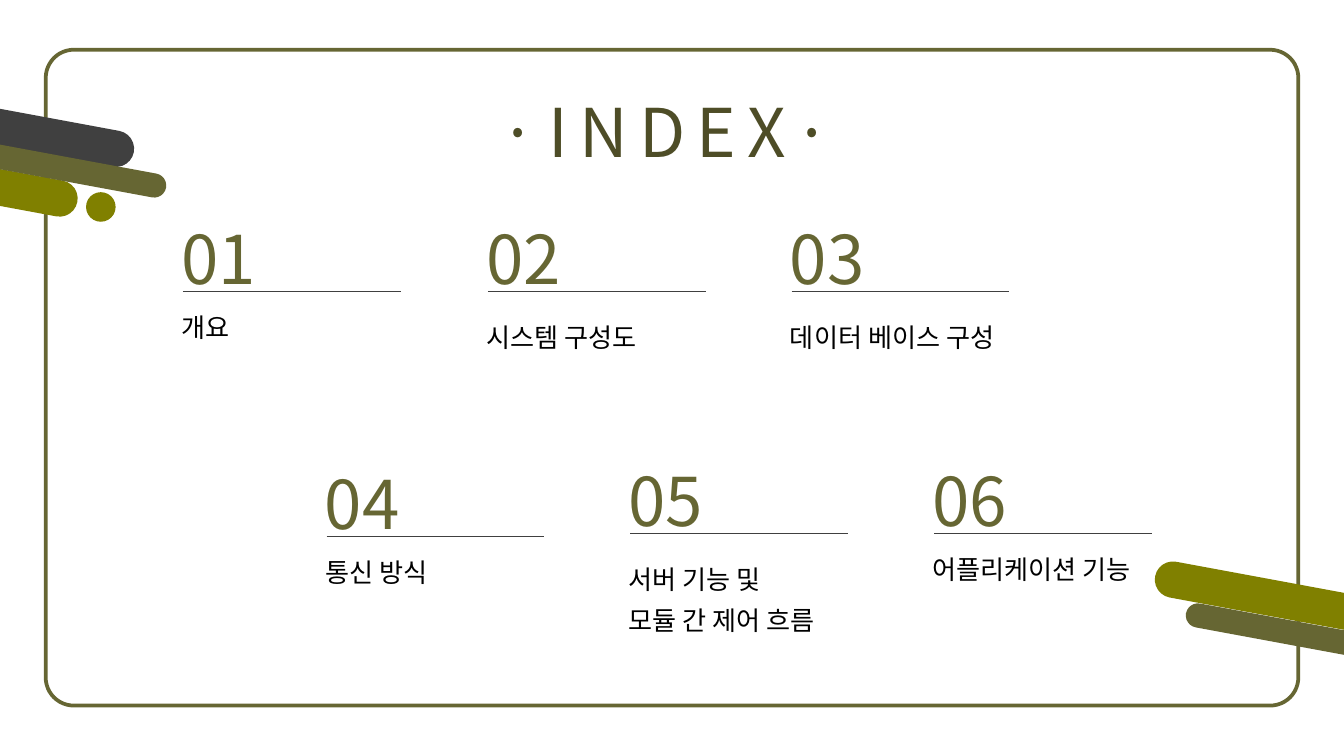
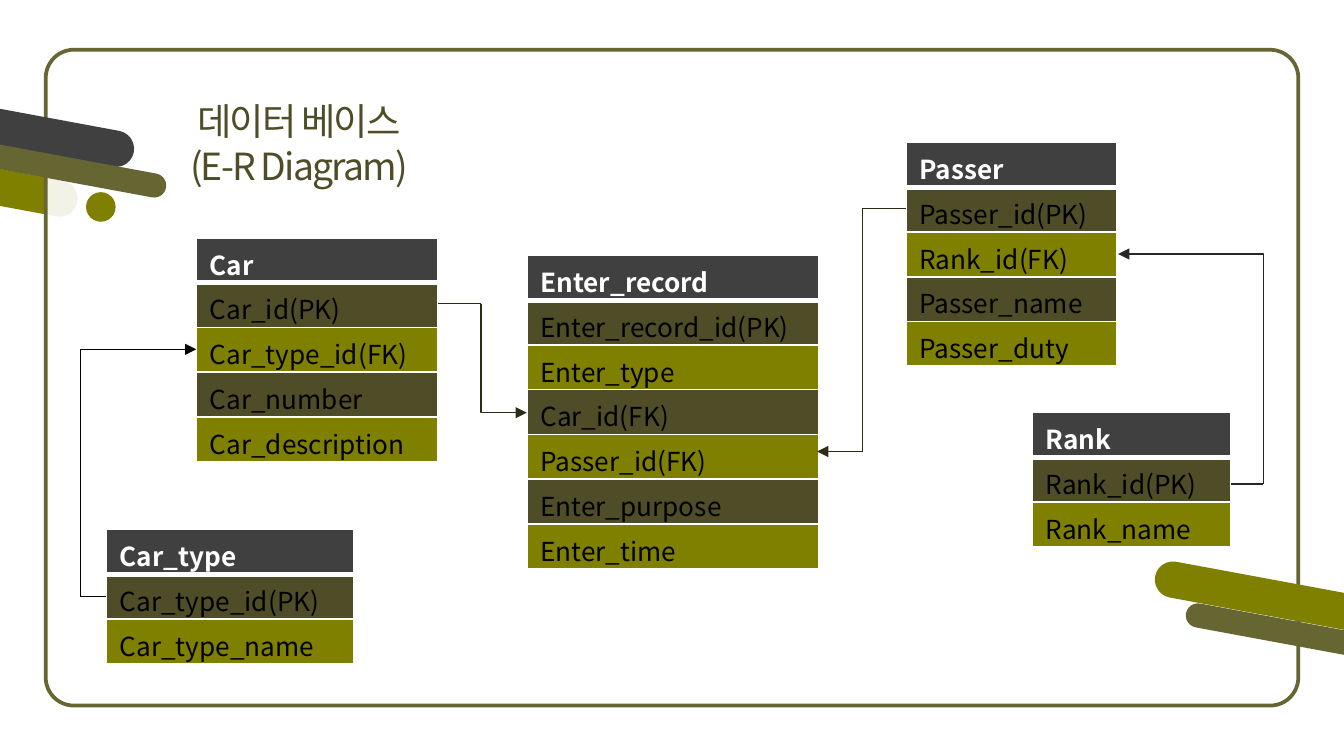
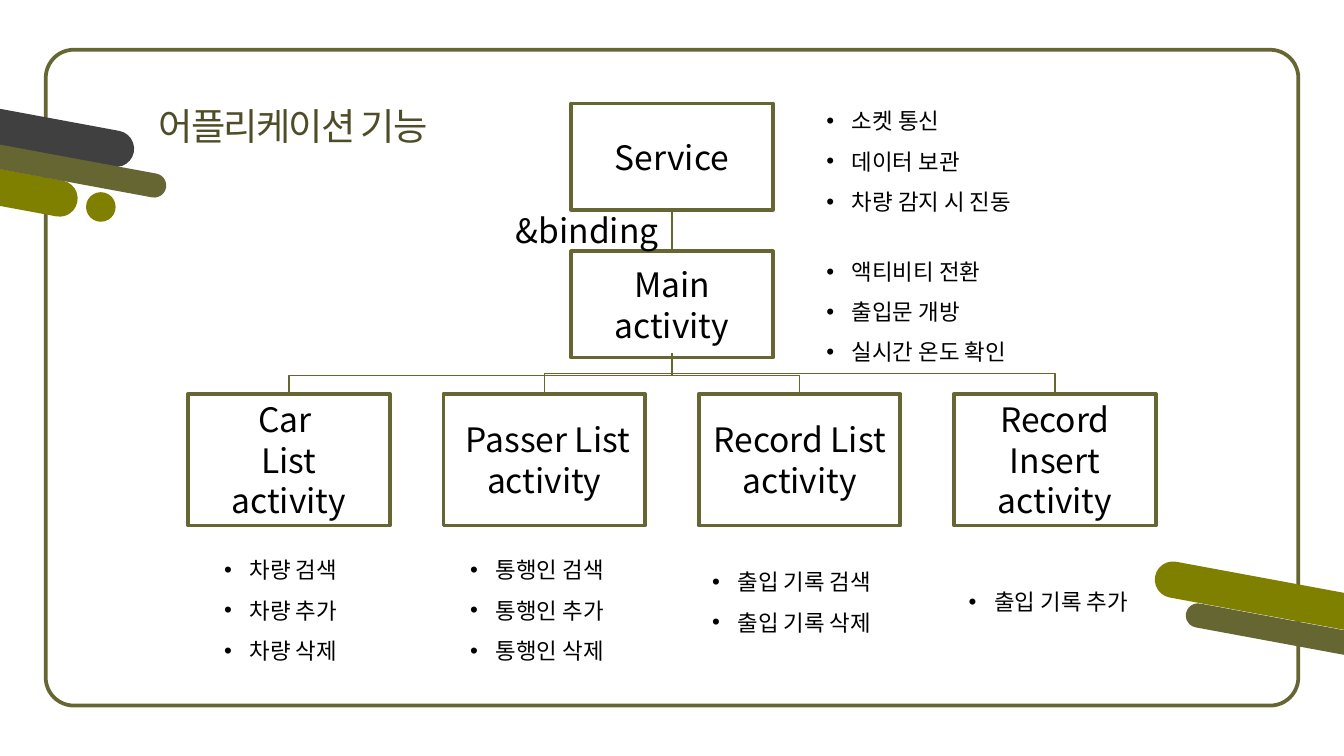
from lxml.etree import SubElement
from pptx import Presentation
from pptx.dml.color import RGBColor
from pptx.enum.shapes import MSO_CONNECTOR, MSO_SHAPE
from pptx.enum.text import MSO_ANCHOR, MSO_AUTO_SIZE, PP_ALIGN
from pptx.oxml.ns import qn
from pptx.util import Inches, Pt

FONT = "Noto Sans CJK KR"
OLIVE, MOSS, DARK_MOSS = "808000", "666633", "4E4D27"
CHARCOAL, WHITE, BLACK = "404040", "FFFFFF", "000000"
rgb = RGBColor.from_string


def write(tf, text, size, color, align=None, bold=False, spc=None, wrap=True):
    tf.word_wrap = wrap
    tf.text = text
    for p in tf.paragraphs:
        p.alignment = align
        for r in p.runs:
            r.font.size = Pt(size)
            r.font.bold = bold
            r.font.color.rgb = rgb(color)
            r.font.name = FONT
            rPr = r.font._element
            SubElement(rPr, qn("a:ea"), typeface=FONT)
            if spc:
                rPr.set("spc", str(spc * 100))


def connect(s, x1, y1, x2, y2, color, bend=None, arrow=False):
    kind = MSO_CONNECTOR.STRAIGHT
    if bend:
        kind = MSO_CONNECTOR.ELBOW
        cx, cy, dx, dy = (x1 + x2) / 2, (y1 + y2) / 2, x2 - x1, y2 - y1
        x1, y1, x2, y2 = cx - dy / 2, cy + dx / 2, cx + dy / 2, cy - dx / 2
    c = s.shapes.add_connector(kind, Inches(x1), Inches(y1), Inches(x2), Inches(y2))
    c.line.color.rgb = rgb(color)
    c.line.width = Pt(0.75)
    spPr = c._element.spPr
    if bend:
        spPr.find(qn("a:xfrm")).set("rot", "5400000")
        spPr.find(qn("a:prstGeom")).set("prst", bend)
    if arrow:
        SubElement(spPr.find(qn("a:ln")), qn("a:tailEnd"), type="triangle")
    SubElement(spPr, qn("a:effectLst"))


prs = Presentation()
prs.slide_width = Inches(10)
prs.slide_height = prs.slide_width * 9 // 16

frame = (MSO_SHAPE.ROUNDED_RECTANGLE, 0.34, 0.37, 9.32, 4.88, WHITE)
low_bar = (MSO_SHAPE.ROUNDED_RECTANGLE, -1.13, 1.21, 1.72, 0.27, OLIVE)
decor = [
    (MSO_SHAPE.ROUNDED_RECTANGLE, 8.58, 4.31, 1.72, 0.27, OLIVE),
    (MSO_SHAPE.ROUNDED_RECTANGLE, 8.81, 4.63, 1.72, 0.18, MOSS),
    (MSO_SHAPE.ROUNDED_RECTANGLE, -0.71, 0.84, 1.72, 0.27, CHARCOAL),
    (MSO_SHAPE.ROUNDED_RECTANGLE, -0.47, 1.15, 1.72, 0.18, MOSS),
    (MSO_SHAPE.OVAL, 0.64, 1.43, 0.22, 0.22, OLIVE),
]
titles = [
    ("·INDEX·", 3.62, 0.62, 2.76, 0.71, 36, 6, None),
    ("데이터 베이스\n(E-R Diagram)", 1.19, 0.68, 2.07, 0.77, 20, -1, PP_ALIGN.CENTER),
    ("어플리케이션 기능", 1.02, 0.72, 2.32, 0.44, 20, -1, PP_ALIGN.CENTER),
]
backdrops = [[frame, low_bar], [low_bar, frame], [frame, low_bar]]
for backdrop, (text, x, y, w, h, size, spc, align) in zip(backdrops, titles):
    s = prs.slides.add_slide(prs.slide_layouts[6])
    for part in backdrop + decor:
        kind, left, top, width, height, color = part
        sp = s.shapes.add_shape(kind, Inches(left), Inches(top), Inches(width), Inches(height))
        sp.shadow.inherit = False
        sp.fill.solid()
        sp.fill.fore_color.rgb = rgb(color)
        if part is frame:
            sp.adjustments[0] = 0.043
            sp.line.color.rgb = rgb(MOSS)
            sp.line.width = Pt(2)
            clr = sp._element.spPr.find(qn("a:solidFill"))[0]
            SubElement(clr, qn("a:alpha"), val="90000")
        else:
            sp.line.fill.background()
            if kind == MSO_SHAPE.ROUNDED_RECTANGLE:
                sp.adjustments[0] = 0.5
                sp.rotation = 10.5
    tb = s.shapes.add_textbox(Inches(x), Inches(y), Inches(w), Inches(h))
    write(tb.text_frame, text, size, DARK_MOSS, align, spc=spc, wrap=False)
    tb.text_frame.auto_size = MSO_AUTO_SIZE.SHAPE_TO_FIT_TEXT

index_slide, er_slide, app_slide = prs.slides

topics = [
    ("개요", 1.25, 1.57, 0.59, 0.34, None),
    ("시스템 구성도", 3.52, 1.57, 1.4, 0.41, 22),
    ("데이터 베이스 구성", 5.78, 1.57, 1.84, 0.41, 22),
    ("통신 방식", 2.32, 3.39, 1.02, 0.34, None),
    ("서버 기능 및\n모듈 간 제어 흐름", 4.58, 3.37, 1.72, 0.72, 22),
    ("어플리케이션 기능", 6.84, 3.37, 1.78, 0.34, None),
]
for i, (topic, x, y, w, h, spacing) in enumerate(topics, 1):
    for text, top, width, height, size, color in [
        (topic, y + 0.7, w, h, 14, BLACK),
        (f"{i:02}", y, 0.83, 0.71, 36, MOSS),
    ]:
        tb = index_slide.shapes.add_textbox(Inches(x), Inches(top), Inches(width), Inches(height))
        tf = tb.text_frame
        write(tf, text, size, color, wrap=False)
        tf.auto_size = MSO_AUTO_SIZE.SHAPE_TO_FIT_TEXT
        if spacing and text == topic:
            for p in tf.paragraphs:
                p.line_spacing = Pt(spacing)
    connect(index_slide, x + 0.11, y + 0.6, x + 1.73, y + 0.6, CHARCOAL)

entities = [
    (0.79, 3.94, 1.84, ["Car_type", "Car_type_id(PK)", "Car_type_name"]),
    (1.46, 1.77, 1.8, ["Car", "Car_id(PK)", "Car_type_id(FK)", "Car_number", "Car_description"]),
    (7.68, 3.07, 1.48, ["Rank", "Rank_id(PK)", "Rank_name"]),
    (6.74, 1.06, 1.57, ["Passer", "Passer_id(PK)", "Rank_id(FK)", "Passer_name", "Passer_duty"]),
    (3.92, 1.9, 2.17, ["Enter_record", "Enter_record_id(PK)", "Enter_type", "Car_id(FK)",
                       "Passer_id(FK)", "Enter_purpose", "Enter_time"]),
]
for x, y, w, fields in entities:
    n = len(fields)
    table = er_slide.shapes.add_table(n, 1, Inches(x), Inches(y), Inches(w), Inches(n / 3)).table
    for i, field in enumerate(fields):
        cell = table.cell(i, 0)
        cell.margin_top, cell.margin_bottom = Inches(0.05), 0
        write(cell.text_frame, field, 14, BLACK if i else WHITE, bold=i == 0)
        tcPr = cell._tc.get_or_add_tcPr()
        for side in "LRTB":
            thick = (i, side) in [(0, "B"), (1, "T")]
            ln = SubElement(tcPr, qn(f"a:ln{side}"), w=str(Pt(3 if thick else 1)))
            SubElement(SubElement(ln, qn("a:solidFill")), qn("a:srgbClr"), val=WHITE)
        cell.fill.solid()
        cell.fill.fore_color.rgb = rgb([OLIVE, DARK_MOSS][i % 2] if i else CHARCOAL)

for x1, y1, x2, y2, color, bend, arrow in [
    (0.79, 4.44, 0.6, 4.44, BLACK, None, False),
    (0.6, 4.44, 1.46, 2.6, BLACK, "bentConnector2", True),
    (3.26, 2.26, 3.58, 2.26, "2C2B16", None, False),
    (3.58, 2.26, 3.92, 3.07, "2C2B16", "bentConnector2", True),
    (6.74, 1.55, 6.42, 1.55, "2C2B16", None, False),
    (6.42, 1.55, 6.42, 3.36, "2C2B16", None, False),
    (6.42, 3.36, 6.08, 3.36, "2C2B16", None, True),
    (9.16, 3.6, 9.4, 3.6, "262626", None, False),
    (9.4, 3.6, 8.32, 1.89, "262626", "bentConnector2", True),
]:
    connect(er_slide, x1, y1, x2, y2, color, bend, arrow)

activities = ["Car \nList\nactivity", " Passer List activity", "Record List activity", "Record Insert activity"]
boxes = [("Service", 4.25, 0.77, 0.79), ("Main activity", 4.25, 1.87, 0.79)]
for i, activity in enumerate(activities):
    x = 1.4 + 1.9 * i
    boxes.append((activity, x, 2.93, 0.98))
    connect(app_slide, 5, 2.63 if i % 2 else 2.66, x + 0.75, 2.93, MOSS, "bentConnector3")
connect(app_slide, 5, 1.55, 5, 1.87, MOSS)

for text, x, y, h in boxes:
    sp = app_slide.shapes.add_shape(MSO_SHAPE.RECTANGLE, Inches(x), Inches(y), Inches(1.5), Inches(h))
    sp.shadow.inherit = False
    sp.fill.background()
    sp.line.color.rgb = rgb(MOSS)
    sp.line.width = Pt(2)
    write(sp.text_frame, text, 18, BLACK, PP_ALIGN.CENTER)
    sp.text_frame.vertical_anchor = MSO_ANCHOR.MIDDLE

for x, y, w, features in [
    (1.57, 3.99, 1.15, ["차량 검색", "차량 추가", "차량 삭제"]),
    (3.4, 3.99, 1.29, ["통행인 검색", "통행인 추가", "통행인 삭제"]),
    (5.2, 4.08, 1.5, ["출입 기록 검색", "출입 기록 삭제"]),
    (7.11, 4.23, 1.5, ["출입 기록 추가"]),
    (6.05, 1.77, 1.7, ["액티비티 전환", "출입문 개방", "실시간 온도 확인"]),
    (6.05, 0.65, 1.7, ["소켓 통신", "데이터 보관", "차량 감지 시 진동"]),
]:
    h = 0.08 + 0.3 * len(features)
    tb = app_slide.shapes.add_textbox(Inches(x), Inches(y), Inches(w), Inches(h))
    write(tb.text_frame, "\n".join(features), 12, BLACK)
    tb.text_frame.auto_size = MSO_AUTO_SIZE.SHAPE_TO_FIT_TEXT
    for p in tb.text_frame.paragraphs:
        p.line_spacing = 1.5
        pPr = p._p.get_or_add_pPr()
        pPr.set("marL", str(Inches(0.19)))
        pPr.set("indent", str(-Inches(0.19)))
        SubElement(pPr, qn("a:buFont"), typeface="Arial")
        SubElement(pPr, qn("a:buChar"), char="•")

tb = app_slide.shapes.add_textbox(Inches(3.74), Inches(1.51), Inches(1.32), Inches(0.4))
write(tb.text_frame, "&binding", 18, BLACK)
tb.text_frame.auto_size = MSO_AUTO_SIZE.SHAPE_TO_FIT_TEXT

prs.save("out.pptx")
